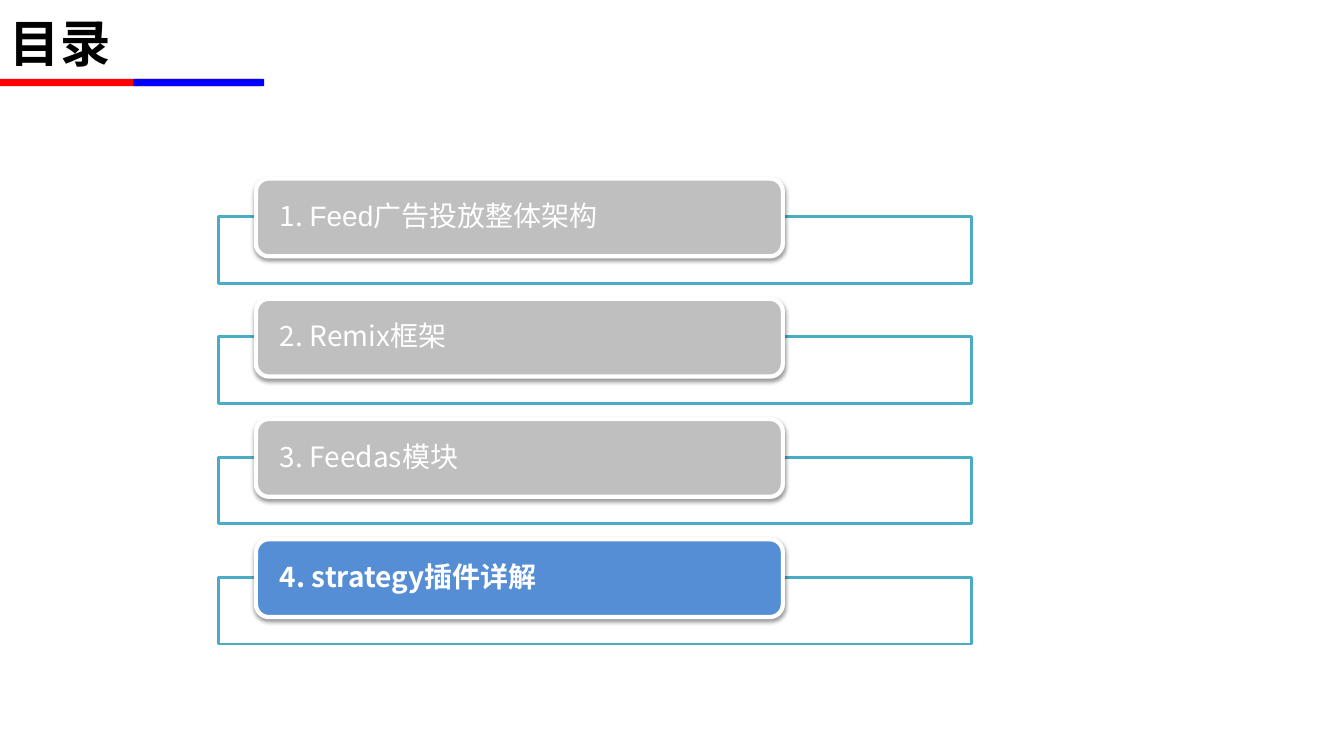
from lxml import etree
from pptx import Presentation
from pptx import util as u
from pptx.dml.color import RGBColor
from pptx.enum import shapes, text
from pptx.oxml import ns

# Content
TITLE = "目录"
CJK_FONT = "Noto Sans CJK SC"
# Each entry: runs of (text, font), whether it is the current chapter
CHAPTERS = [
    ([("1. ", CJK_FONT), ("Feed广告投放整体架构", "Arial")], False),
    ([("2. Remix框架", CJK_FONT)], False),
    ([("3. Feedas模块", CJK_FONT)], False),
    ([("4. strategy插件详解", CJK_FONT)], True),
]
COLORS = {
    "red": "FF0000", "blue": "0000FF", "black": "000000", "white": "FFFFFF",
    "teal": "4BACC6", "inactive": "BFBFBF", "active": "558ED5",
}
STEP = 3.03  # distance between chapters, cm


def rgb(name):
    return RGBColor.from_string(COLORS[name])


def add_box(slide, kind, left, top, width, height, fill, line=None, weight=0):
    shape = slide.shapes.add_shape(kind, *map(u.Cm, (left, top, width, height)))
    shape.shadow.inherit = False
    shape.fill.solid()
    shape.fill.fore_color.rgb = rgb(fill)
    if line:
        shape.line.color.rgb = rgb(line)
        shape.line.width = u.Pt(weight)
    else:
        shape.line.fill.background()
    return shape


def add_alpha(color, percent):
    etree.SubElement(color, ns.qn("a:alpha"), val=str(percent * 1000))


def add_shadow(shape):
    effects = shape._element.spPr.find(ns.qn("a:effectLst"))
    shadow = etree.SubElement(
        effects, ns.qn("a:outerShdw"), blurRad=str(u.Pt(3.1)),
        dist=str(u.Pt(1.6)), dir="5400000", rotWithShape="0")
    color = etree.SubElement(shadow, ns.qn("a:srgbClr"), val=COLORS["black"])
    add_alpha(color, 38)


def add_run(paragraph, words, font, size, color, bold):
    run = paragraph.add_run()
    run.text = words
    run.font.name = font
    run.font.size = u.Pt(size)
    run.font.bold = bold
    run.font.color.rgb = rgb(color)
    etree.SubElement(run.font._element, ns.qn("a:ea"), typeface=CJK_FONT)


def add_chapter(slide, index, runs, current):
    offset = index * STEP
    panel = add_box(slide, shapes.MSO_SHAPE.RECTANGLE,
                    5.51, 5.46 + offset, 18.97, 1.68, "white", "teal", 2)
    add_alpha(panel._element.spPr.find(".//" + ns.qn("a:srgbClr")), 90)

    label = add_box(slide, shapes.MSO_SHAPE.ROUNDED_RECTANGLE,
                    6.45, 4.5 + offset, 13.28, 1.96,
                    "active" if current else "inactive", "white", 3)
    add_shadow(label)
    frame = label.text_frame
    frame.word_wrap = True
    frame.vertical_anchor = text.MSO_ANCHOR.MIDDLE
    frame.margin_left = frame.margin_right = u.Cm(0.51)
    frame.margin_top = frame.margin_bottom = 0
    paragraph = frame.paragraphs[0]
    paragraph.alignment = text.PP_ALIGN.LEFT
    paragraph.line_spacing = 0.9
    for words, font in runs:
        add_run(paragraph, words, font, 20, "white", current)


def main():
    presentation = Presentation()
    presentation.slide_width = u.Cm(33.87)
    presentation.slide_height = u.Cm(19.05)
    slide = presentation.slides.add_slide(presentation.slide_layouts[6])

    # Two-colour rule under the title
    for left, width, color in [(0, 6.58, "red"), (3.36, 3.3, "blue")]:
        add_box(slide, shapes.MSO_SHAPE.RECTANGLE, left, 1.99, width, 0.18, color)

    # Title
    title = slide.shapes.add_textbox(0, 0, u.Cm(30.48), u.Cm(2.16))
    title.text_frame.word_wrap = True
    title.text_frame.vertical_anchor = text.MSO_ANCHOR.MIDDLE
    add_run(title.text_frame.paragraphs[0], TITLE, "DejaVu Sans Mono", 36, "black", True)

    # Chapter list
    for index, (runs, current) in enumerate(CHAPTERS):
        add_chapter(slide, index, runs, current)

    presentation.save("out.pptx")


if __name__ == "__main__":
    main()
